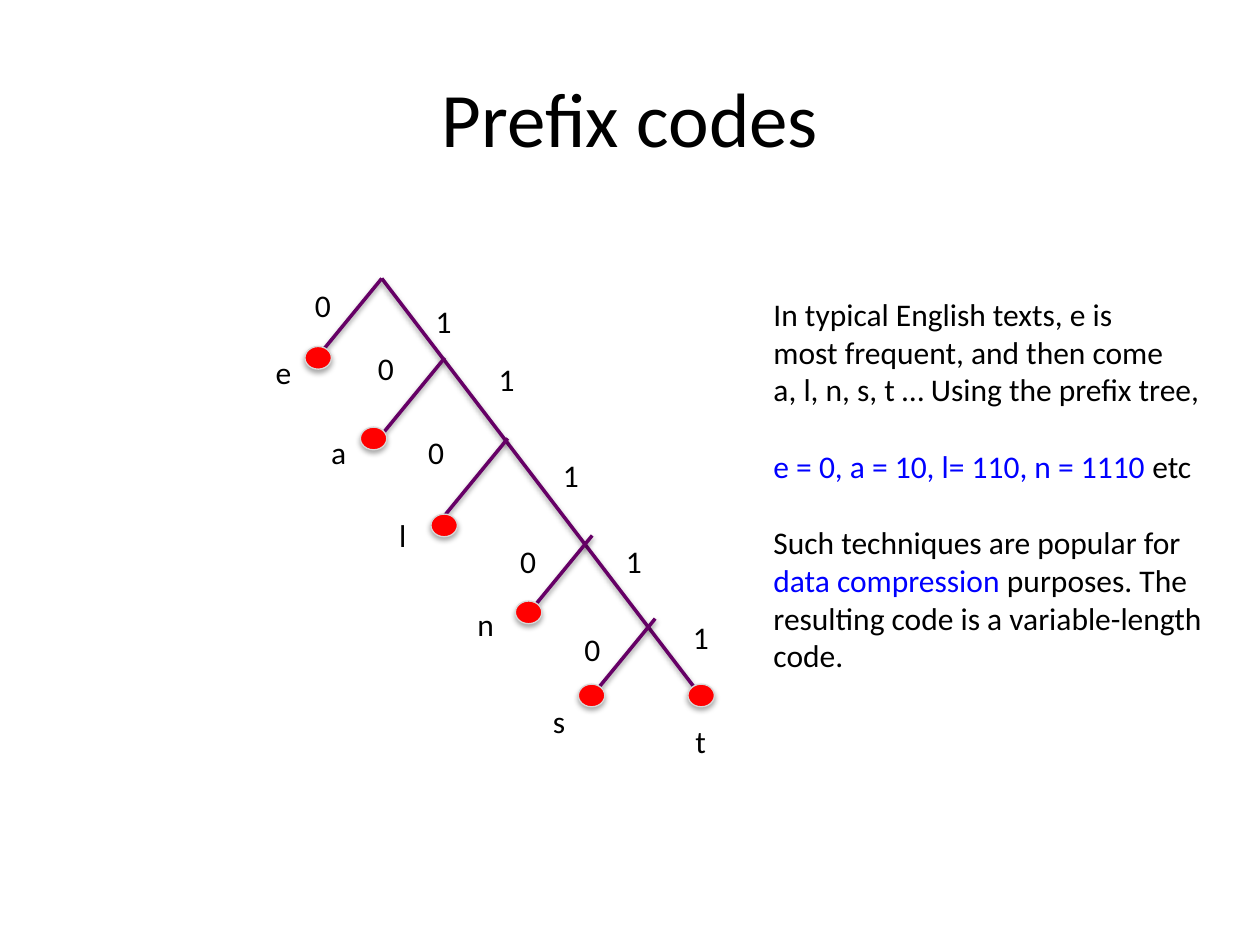
from lxml import etree
from pptx import Presentation
from pptx import util as u
from pptx.dml.color import RGBColor
from pptx.enum import shapes, text
from pptx.oxml.ns import qn

COLORS = {"ink": "000000", "branch": "660066", "leaf": "FF0000",
          "rim": "D8D8D8", "accent": "0000FF"}
FONT = "Calibri"
WIDTH, HEIGHT = u.Inches(10), u.Inches(7.5)
COLS, ROWS = 100, 75
BRANCH = (-5, 6.1)
DOT = (2.1, 1.8)

ROOT, TRUNK_END = (30.3, 22.1), (55.6, 55.2)
FORKS = [ROOT, (35.3, 28.4), (40.3, 34.8), (47, 42.5), (52, 49.1)]
LEAVES = [("e", (24.2, 27.5), (20.9, 27.5, 3.3)),
          ("a", (28.6, 33.9), (25.3, 33.9, 3.2)),
          ("l", (34.2, 40.8), (30.7, 40.5, 2.6)),
          ("n", (40.9, 47.7), (36.9, 47.5, 3.3)),
          ("s", (45.9, 54.3), (42.9, 55.2, 3)),
          ("t", (54.6, 54.3), (54.2, 56.8, 2.9))]
BITS = {"0": [(24, 22.2), (29, 27.2), (33, 33.9), (40.3, 42.5), (45.4, 49.5)],
        "1": [(33.6, 23.5), (38.6, 28.1), (43.7, 35.7), (48.7, 42.5), (54, 48.6)]}
NOTES = [[["In typical English texts, e is"],
          ["most frequent, and then come"],
          ["a, l, n, s, t … Using the prefix tree,"]],
         [[("e = 0, a = 10, l= 110, n = 1110 ", "accent"), "etc"]],
         [["Such techniques are popular for"],
          [("data compression ", "accent"), "purposes. The"],
          ["resulting code is a variable-length"],
          ["code."]]]


def rgb(name):
    return RGBColor.from_string(COLORS[name])


def x(col):
    return round(WIDTH * col / COLS)


def y(row):
    return round(HEIGHT * row / ROWS)


def add_shadow(sp, distance, opacity):
    effects = etree.SubElement(sp._element.spPr, qn("a:effectLst"))
    shadow = etree.SubElement(effects, qn("a:outerShdw"), blurRad=str(u.Pt(3.1)),
                              dist=str(u.Pt(distance)), dir="5400000", rotWithShape="0")
    color = etree.SubElement(shadow, qn("a:srgbClr"), val=COLORS["ink"])
    etree.SubElement(color, qn("a:alpha"), val=str(opacity * 1000))


def add_branch(s, start, end):
    line = s.shapes.add_connector(shapes.MSO_CONNECTOR.STRAIGHT,
                                  x(start[0]), y(start[1]), x(end[0]), y(end[1]))
    line.line.color.rgb = rgb("branch")
    line.line.width = u.Pt(2)
    add_shadow(line, 1.6, 38)


def add_dot(s, col, row):
    sp = s.shapes.add_shape(shapes.MSO_SHAPE.OVAL, x(col), y(row), x(DOT[0]), y(DOT[1]))
    sp.fill.solid()
    sp.fill.fore_color.rgb = rgb("leaf")
    sp.line.color.rgb = rgb("rim")
    sp.line.width = u.Pt(0.75)
    add_shadow(sp, 1.8, 35)


def add_text(s, col, row, width, height, groups):
    tf = s.shapes.add_textbox(x(col), y(row), x(width), y(height)).text_frame
    tf.word_wrap = False
    tf.auto_size = text.MSO_AUTO_SIZE.SHAPE_TO_FIT_TEXT
    p = tf.paragraphs[0]
    for g, group in enumerate(groups):
        for i, runs in enumerate(group):
            if g or i:
                p = tf.add_paragraph()
            if g and not i:
                p.space_before = u.Pt(22)
            p.font.size = u.Pt(18)
            p.font.name = FONT
            for run in runs:
                words, color = (run, "ink") if isinstance(run, str) else run
                r = p.add_run()
                r.text = words
                r.font.color.rgb = rgb(color)


def add_label(s, col, row, width, words):
    add_text(s, col, row, width, 4, [[[words]]])


def add_title(s, words):
    s.shapes.title.text = words
    p = s.shapes.title.text_frame.paragraphs[0]
    p.alignment = text.PP_ALIGN.CENTER
    p.font.size = u.Pt(44)
    p.font.name = FONT
    p.font.color.rgb = rgb("ink")


def main():
    prs = Presentation()
    prs.slide_width, prs.slide_height = WIDTH, HEIGHT
    s = prs.slides.add_slide(prs.slide_layouts[5])
    add_title(s, "Prefix codes")
    add_branch(s, ROOT, TRUNK_END)
    for col, row in FORKS:
        add_branch(s, (col, row), (col + BRANCH[0], row + BRANCH[1]))
    for _, dot, _ in LEAVES:
        add_dot(s, *dot)
    for letter, _, place in LEAVES:
        add_label(s, *place, letter)
    add_text(s, 60.4, 22.9, 36.8, 31.3, NOTES)
    for bit, places in BITS.items():
        for col, row in places:
            add_label(s, col, row, 3.3, bit)
    prs.save("out.pptx")


if __name__ == "__main__":
    main()
